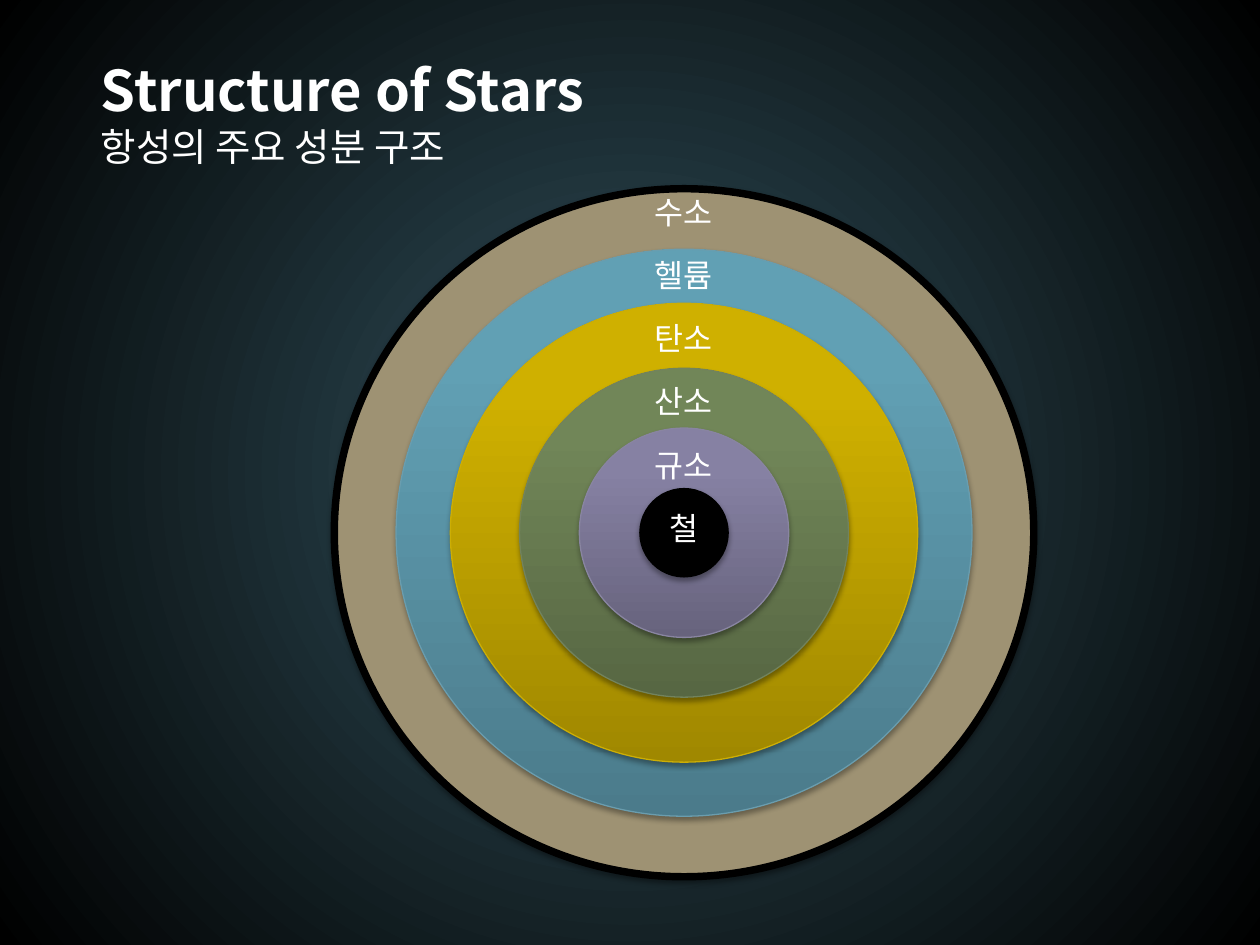
from lxml import etree
from pptx import Presentation
from pptx import util as u
from pptx.dml.color import RGBColor
from pptx.enum import shapes, text
from pptx.oxml import parse_xml
from pptx.oxml.ns import nsdecls, qn

WHITE = RGBColor(0xFF, 0xFF, 0xFF)
BLACK = RGBColor(0, 0, 0)
GLOW = RGBColor(0x32, 0x52, 0x5D)
TAN = RGBColor(0x9E, 0x92, 0x73)
BLUE = [RGBColor(0x4B, 0x7B, 0x8B), RGBColor(0x61, 0xA0, 0xB4), RGBColor(0x60, 0xA2, 0xB7)]
GOLD = [RGBColor(0xA0, 0x88, 0x00), RGBColor(0xCF, 0xB0, 0x00), RGBColor(0xD0, 0xB1, 0x00)]
GREEN = [RGBColor(0x57, 0x67, 0x43), RGBColor(0x71, 0x86, 0x58), RGBColor(0x71, 0x88, 0x57)]
PURPLE = [RGBColor(0x67, 0x63, 0x7D), RGBColor(0x86, 0x81, 0xA3), RGBColor(0x86, 0x81, 0xA4)]
BLUE_EDGE = RGBColor(0x6A, 0x9D, 0xAE)
GOLD_EDGE = RGBColor(0xCC, 0xAE, 0x05)
GREEN_EDGE = RGBColor(0x72, 0x83, 0x5D)
PURPLE_EDGE = RGBColor(0x89, 0x85, 0xA1)

CENTER_X, CENTER_Y = 13.79, 10.74


class StarSlide:
    font = "Noto Sans CJK KR"

    def __init__(self, slide):
        self.slide = slide

    def gradient(self, stops, direction):
        colors = "".join(f'<a:gs pos="{pos * 1000}"><a:srgbClr val="{color}"/></a:gs>'
                         for pos, color in stops)
        return parse_xml(f'<a:gradFill {nsdecls("a")} rotWithShape="1">'
                         f'<a:gsLst>{colors}</a:gsLst>{direction}</a:gradFill>')

    def background(self, inner, outer):
        fill = self.slide.background.fill
        fill.solid()
        solid = next(self.slide.element.iter(qn("a:solidFill")))
        circle = ('<a:path path="circle"><a:fillToRect l="50000" t="50000" '
                  'r="50000" b="50000"/></a:path>')
        solid.getparent().replace(solid, self.gradient([(0, inner), (100, outer)], circle))

    def style(self, paragraph, size, bold=False):
        for run in paragraph.runs:
            run.font.size = u.Pt(size)
            run.font.bold = bold
            run.font.name = self.font
            run.font.color.rgb = WHITE
            etree.SubElement(run.font._element, qn("a:ea")).set("typeface", self.font)

    def title(self, heading, subtitle):
        title = self.slide.shapes.title
        title.left, title.top = u.Cm(1.78), u.Cm(0.99)
        title.width, title.height = u.Cm(15.47), u.Cm(2.57)
        frame = title.text_frame
        frame.text = heading
        frame.add_paragraph().text = subtitle
        frame.vertical_anchor = text.MSO_ANCHOR.TOP
        frame.auto_size = text.MSO_AUTO_SIZE.SHAPE_TO_FIT_TEXT
        for paragraph, size, bold in zip(frame.paragraphs, (32, 22), (True, False)):
            paragraph.alignment = text.PP_ALIGN.LEFT
            paragraph.space_before = u.Pt(0)
            self.style(paragraph, size, bold)

    def layer(self, width, height, colors, edge, edge_width=0.75, shade=35, drop=1.8):
        disc = self.slide.shapes.add_shape(
            shapes.MSO_SHAPE.OVAL, u.Cm(CENTER_X - width / 2), u.Cm(CENTER_Y - height / 2),
            u.Cm(width), u.Cm(height))
        disc.fill.solid()
        if isinstance(colors, list):
            solid = disc._element.spPr.find(qn("a:solidFill"))
            stops = zip((0, 80, 100), colors)
            solid.getparent().replace(
                solid, self.gradient(stops, '<a:lin ang="16200000" scaled="0"/>'))
        else:
            disc.fill.fore_color.rgb = colors
        disc.line.color.rgb = edge
        disc.line.width = u.Pt(edge_width)
        # Soft shadow straight below the disc
        disc._element.spPr.append(parse_xml(
            f'<a:effectLst {nsdecls("a")}><a:outerShdw blurRad="{u.Pt(3.1)}" '
            f'dist="{u.Pt(drop)}" dir="5400000" rotWithShape="0"><a:srgbClr val="{BLACK}">'
            f'<a:alpha val="{shade * 1000}"/></a:srgbClr></a:outerShdw></a:effectLst>'))

    def label(self, name, top):
        box = self.slide.shapes.add_textbox(
            u.Cm(CENTER_X - 1.11), u.Cm(top), u.Cm(2.21), u.Cm(0.94))
        frame = box.text_frame
        frame.word_wrap = True
        frame.auto_size = text.MSO_AUTO_SIZE.SHAPE_TO_FIT_TEXT
        frame.text = name
        frame.paragraphs[0].alignment = text.PP_ALIGN.CENTER
        self.style(frame.paragraphs[0], 18)


def main():
    deck = Presentation()
    deck.slide_width, deck.slide_height = u.Cm(25.4), u.Cm(19.05)
    star = StarSlide(deck.slides.add_slide(deck.slide_layouts[5]))
    star.background(GLOW, BLACK)
    star.title("Structure of Stars", "항성의 주요 성분 구조")

    # Layers from the surface to the core
    star.layer(14.1, 13.87, TAN, BLACK, edge_width=4.25, shade=38, drop=1.6)
    star.layer(11.61, 11.43, BLUE, BLUE_EDGE)
    star.layer(9.42, 9.25, GOLD, GOLD_EDGE)
    star.layer(6.63, 6.63, GREEN, GREEN_EDGE)
    star.layer(4.22, 4.22, PURPLE, PURPLE_EDGE)
    star.layer(1.78, 1.78, BLACK, BLACK)

    # Element names at an even pitch
    for row, name in enumerate(["수소", "헬륨", "탄소", "산소", "규소", "철"]):
        star.label(name, 3.76 + 1.275 * row)

    deck.save("out.pptx")


if __name__ == "__main__":
    main()
